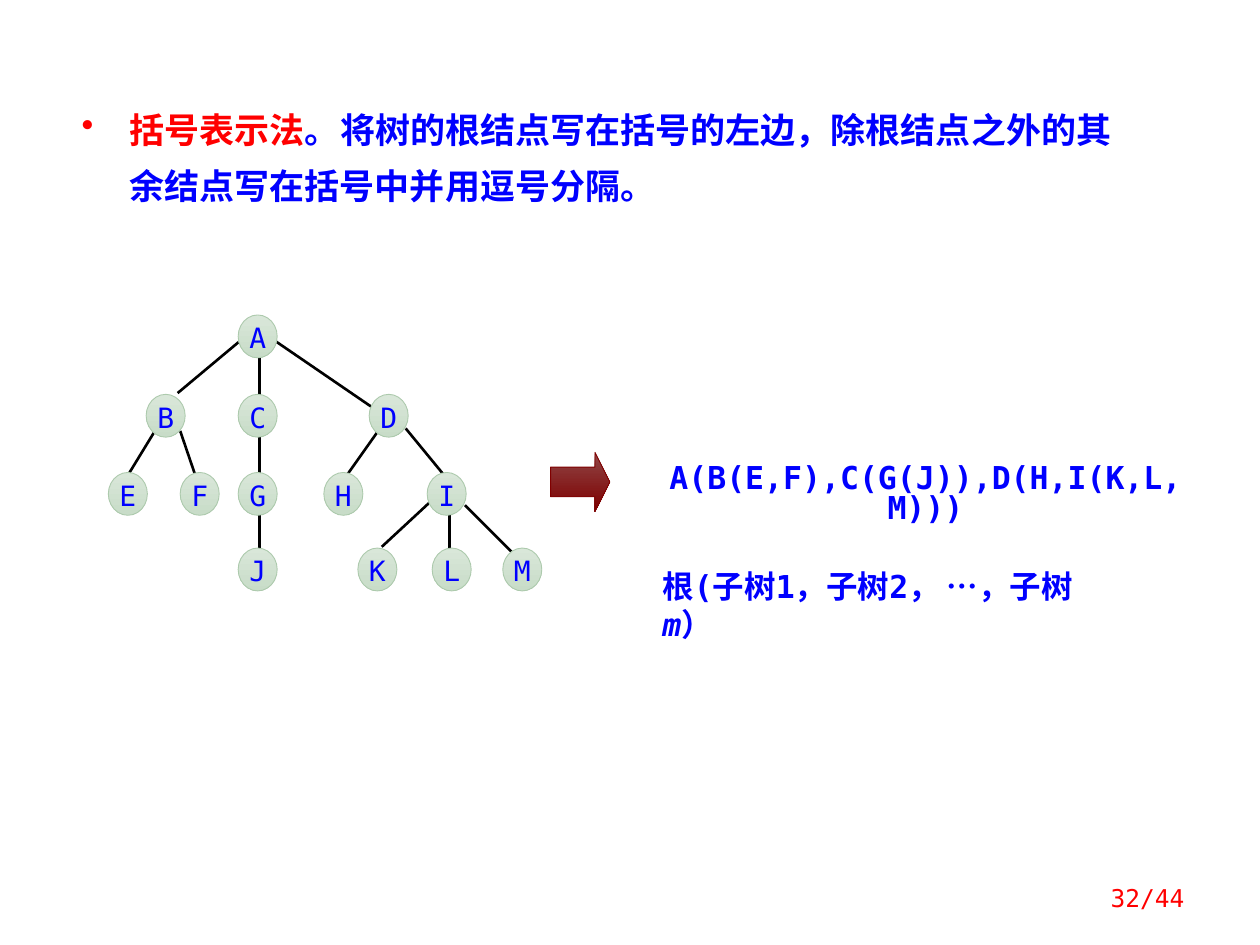
from lxml import etree
from pptx import Presentation
from pptx.dml.color import RGBColor
from pptx.enum.shapes import MSO_CONNECTOR, MSO_SHAPE
from pptx.enum.text import MSO_ANCHOR, MSO_AUTO_SIZE, PP_ALIGN
from pptx.oxml.ns import qn
from pptx.util import Inches, Pt

STRAIGHT = MSO_CONNECTOR.STRAIGHT
OVAL, RIGHT_ARROW = MSO_SHAPE.OVAL, MSO_SHAPE.RIGHT_ARROW
TOP, MIDDLE = MSO_ANCHOR.TOP, MSO_ANCHOR.MIDDLE
GROW, FIXED = MSO_AUTO_SIZE.SHAPE_TO_FIT_TEXT, MSO_AUTO_SIZE.NONE
LEFT, CENTER, RIGHT = PP_ALIGN.LEFT, PP_ALIGN.CENTER, PP_ALIGN.RIGHT

RED = RGBColor(0xFF, 0x00, 0x00)
BLUE = RGBColor(0x00, 0x00, 0xFF)
BLACK = RGBColor(0x00, 0x00, 0x00)
NODE_COLORS = (RGBColor(0xD9, 0xE7, 0xD9), RGBColor(0xC8, 0xDC, 0xC8))
NODE_BORDER = RGBColor(0xAD, 0xCA, 0xAD)
ARROW_COLORS = (RGBColor(0x90, 0x45, 0x45), RGBColor(0x7C, 0x00, 0x00))
ARROW_BORDER = RGBColor(0x80, 0x00, 0x00)
MONO, HAN = "DejaVu Sans Mono", "Noto Sans CJK SC"

NODE_WIDTH, NODE_HEIGHT = 0.31, 0.34
TREE_LEVELS = {
    2.5: {"A": 1.89},
    3.13: {"B": 1.16, "C": 1.89, "D": 2.93},
    3.75: {"E": 0.86, "F": 1.43, "G": 1.89, "H": 2.57, "I": 3.39},
    4.35: {"J": 1.89, "K": 2.84, "L": 3.43, "M": 3.99},
}
BRANCHES = [
    (3.03, 3.38, 2.74, 3.79),
    (3.22, 3.4, 3.54, 3.79),
    (3.57, 4.08, 3.57, 4.4),
    (3.69, 4.01, 4.06, 4.38),
    (3.44, 3.96, 3.03, 4.34),
    (1.43, 3.42, 1.57, 3.83),
    (1.23, 3.42, 1.01, 3.78),
    (1.9, 2.71, 1.41, 3.12),
    (2.06, 2.81, 2.06, 4.4),
    (2.19, 2.71, 2.95, 3.23),
]


class TreeSlide:
    def __init__(self, slide):
        self.slide = slide
        self.shapes = slide.shapes

    def apply(self, target, values):
        for name, value in values.items():
            setattr(target, name, value)

    def add_runs(self, paragraph, runs, size, bold=False):
        for text, typeface, color, italic in runs:
            run = paragraph.add_run()
            run.text = text
            self.apply(run.font, {"name": typeface, "size": Pt(size),
                                  "bold": bold, "italic": italic})
            run.font.color.rgb = color
            east_asian = etree.SubElement(run.font._element, qn("a:ea"))
            east_asian.set("typeface", HAN)

    def text(self, box, runs, size, bold=False, align=LEFT, spacing=None,
             anchor=TOP, auto_size=GROW):
        frame = self.shapes.add_textbox(*map(Inches, box)).text_frame
        self.apply(frame, {"word_wrap": True, "auto_size": auto_size,
                           "vertical_anchor": anchor})
        paragraph = frame.paragraphs[0]
        self.apply(paragraph, {"alignment": align, "line_spacing": spacing})
        self.add_runs(paragraph, runs, size, bold)
        return paragraph

    def bullet(self, paragraph, color, indent):
        properties = paragraph._p.get_or_add_pPr()
        properties.set("marL", str(Inches(indent)))
        properties.set("indent", str(-Inches(indent)))
        bullet_color = etree.SubElement(properties, qn("a:buClr"))
        etree.SubElement(bullet_color, qn("a:srgbClr")).set("val", str(color))
        etree.SubElement(properties, qn("a:buChar")).set("char", "•")

    def gradient_shape(self, kind, box, colors, border):
        shape = self.shapes.add_shape(kind, *map(Inches, box))
        shape.shadow.inherit = False
        shape.fill.gradient()
        shape.fill.gradient_angle = 270
        for stop, position, color in zip(shape.fill.gradient_stops, (0, 1), colors):
            stop.position = position
            stop.color.rgb = color
        shape.line.color.rgb = border
        shape.line.width = Pt(0.5)
        return shape

    def node(self, label, left, top):
        box = (left, top, NODE_WIDTH, NODE_HEIGHT)
        frame = self.gradient_shape(OVAL, box, NODE_COLORS, NODE_BORDER).text_frame
        self.apply(frame, {"margin_left": 0, "margin_right": 0, "margin_top": 0,
                           "margin_bottom": 0, "vertical_anchor": TOP})
        paragraph = frame.paragraphs[0]
        self.apply(paragraph, {"alignment": CENTER, "line_spacing": Pt(19)})
        self.add_runs(paragraph, [(label, MONO, BLUE, False)], 16)

    def branch(self, ends):
        line = self.shapes.add_connector(STRAIGHT, *map(Inches, ends))
        line.line.color.rgb = BLACK
        line.line.width = Pt(1.5)
        etree.SubElement(line._element.spPr, qn("a:effectLst"))


def main():
    deck = Presentation()
    deck.slide_width, deck.slide_height = Inches(10), Inches(7.5)
    page = TreeSlide(deck.slides.add_slide(deck.slide_layouts[6]))

    definition = page.text((0.55, 0.7, 8.52, 0.99), [
        ("括号表示法", HAN, RED, False),
        ("。", MONO, BLUE, False),
        ("将树的根结点写在括号的左边，除根结点之外的其余结点写在括号中并用逗号分隔。",
         HAN, BLUE, False),
    ], 20, bold=True)
    page.bullet(definition, RED, 0.38)
    definition.line_spacing = Pt(32)

    arrow = page.gradient_shape(RIGHT_ARROW, (4.37, 3.59, 0.47, 0.47),
                                ARROW_COLORS, ARROW_BORDER)
    arrow.adjustments[0], arrow.adjustments[1] = 0.5, 0.25

    page.text((5.16, 3.64, 4.37, 0.58),
              [("A(B(E,F),C(G(J)),D(H,I(K,L,M)))", MONO, BLUE, False)],
              18, bold=True, align=CENTER, spacing=0.8)
    page.text((5.16, 4.45, 3.83, 0.7), [
        ("根(子树1，子树2， ", MONO, BLUE, False),
        ("…", HAN, BLUE, False),
        ("，子树", MONO, BLUE, False),
        ("m", MONO, BLUE, True),
        ("）", MONO, BLUE, False),
    ], 18, bold=True)

    for ends in BRANCHES:
        page.branch(ends)
    for top, level in TREE_LEVELS.items():
        for label, left in level.items():
            page.node(label, left, top)

    page.text((7.17, 6.95, 2.33, 0.4), [("32/44", MONO, RED, False)], 14,
              align=RIGHT, spacing=0.8, anchor=MIDDLE, auto_size=FIXED)
    deck.save("out.pptx")


if __name__ == "__main__":
    main()
